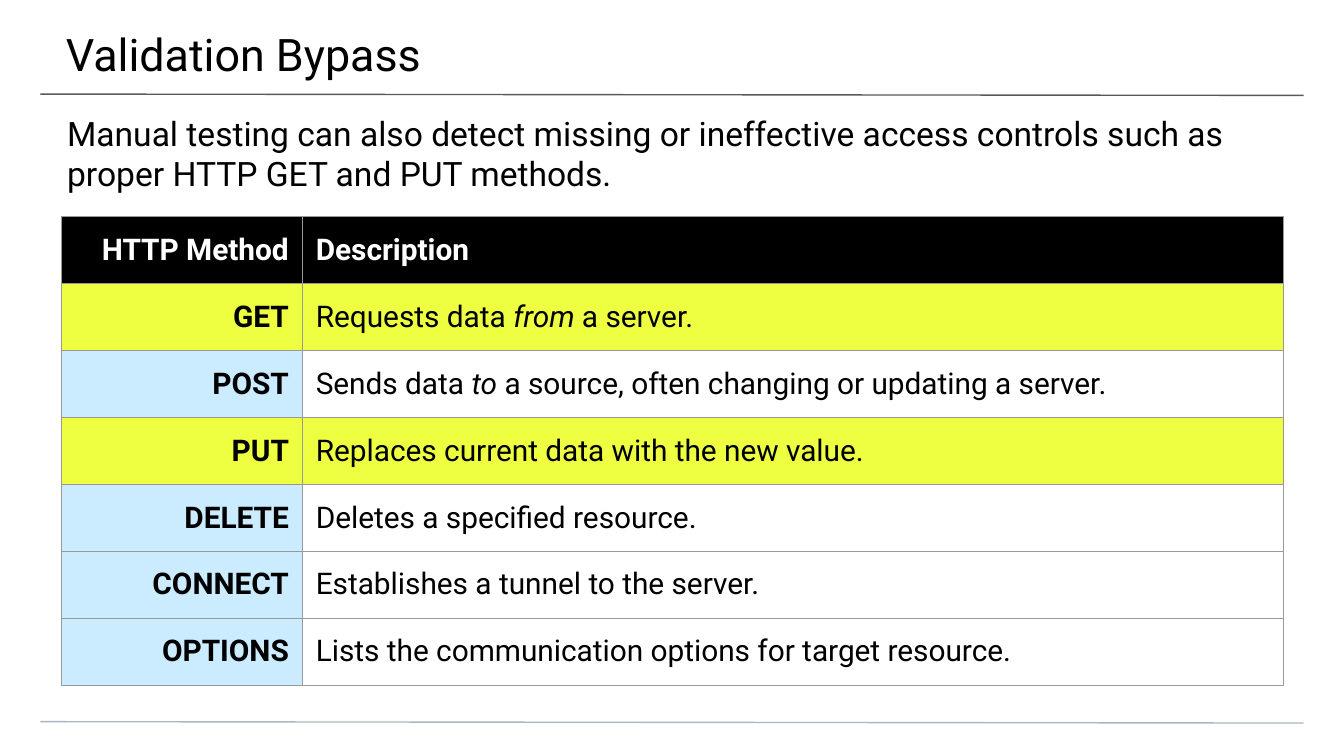
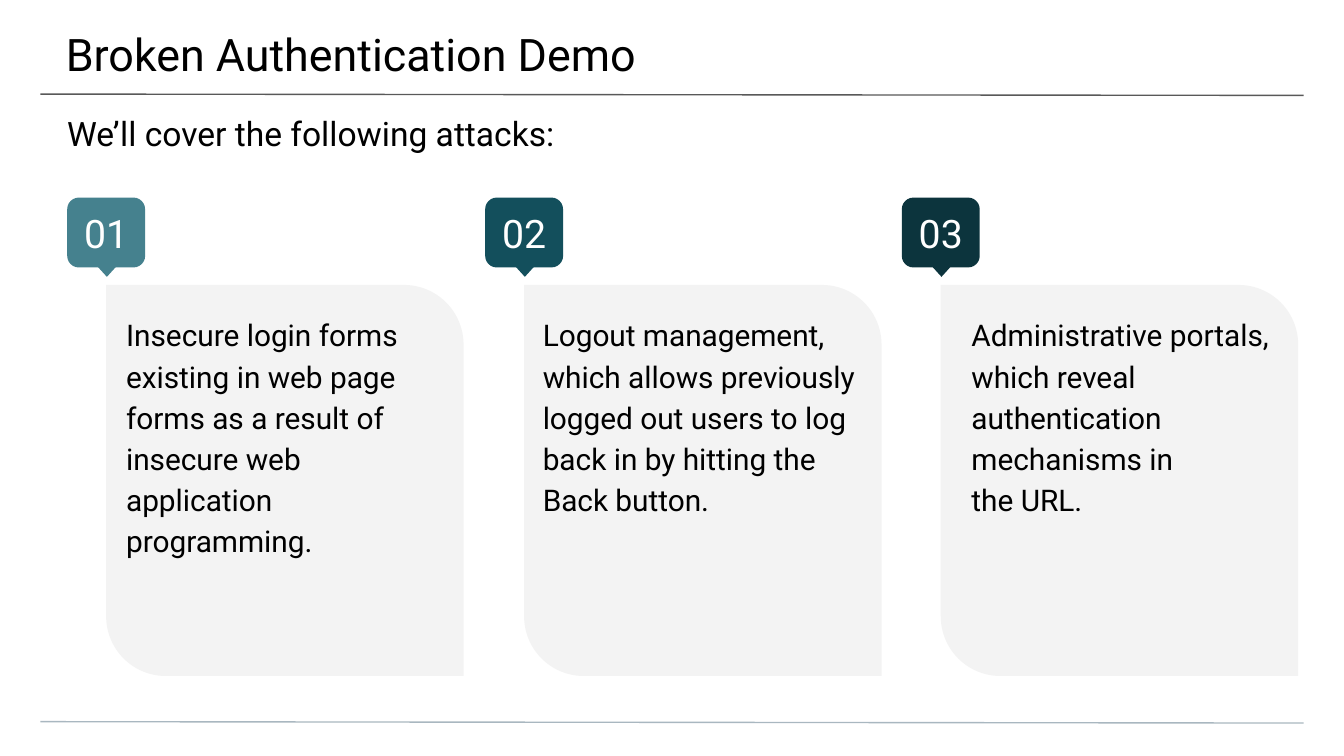
from pptx import Presentation
from pptx.dml.color import RGBColor
from pptx.enum.shapes import MSO_CONNECTOR, MSO_SHAPE
from pptx.enum.text import MSO_ANCHOR, PP_ALIGN
from pptx.oxml.ns import qn
from pptx.util import Inches, Pt
from lxml import etree

LINE = MSO_CONNECTOR.STRAIGHT
BADGE = MSO_SHAPE.ROUNDED_RECTANGLE
POINTER = MSO_SHAPE.FLOWCHART_EXTRACT
CARD = MSO_SHAPE.ROUND_2_DIAG_RECTANGLE
MIDDLE = MSO_ANCHOR.MIDDLE
LEFT, RIGHT, CENTER = PP_ALIGN.LEFT, PP_ALIGN.RIGHT, PP_ALIGN.CENTER

FONT = "Roboto"
BLACK = RGBColor(0x00, 0x00, 0x00)
WHITE = RGBColor(0xFF, 0xFF, 0xFF)
DARK = RGBColor(0x59, 0x59, 0x59)
MIST = RGBColor(0xA9, 0xB7, 0xC0)
PALE = RGBColor(0xF3, 0xF3, 0xF3)
YELLOW = RGBColor(0xEE, 0xFF, 0x41)
SKY = RGBColor(0x9C, 0xDC, 0xFE)
TEAL = RGBColor(0x45, 0x81, 0x8E)
DEEP = RGBColor(0x13, 0x4F, 0x5C)
NIGHT = RGBColor(0x0C, 0x34, 0x3D)
GRID = "999999"

# Asterisks enclose italic words
METHODS = [
    ("GET", "Requests data *from *a server."),
    ("POST", "Sends data *to *a source, often changing or updating a server."),
    ("PUT", "Replaces current data with the new value."),
    ("DELETE", "Deletes a specified resource."),
    ("CONNECT", "Establishes a tunnel to the server."),
    ("OPTIONS", "Lists the communication options for target resource."),
]
MARKED = ("GET", "PUT")

# Pin left, colour, note box, note
ATTACKS = [
    (0.5, TEAL, (0.84, 2.22, 2.4, 2.6),
     "Insecure login forms existing in web page forms as a result of "
     "insecure web application programming."),
    (3.61, DEEP, (3.94, 2.22, 2.59, 2.45),
     "Logout management, which allows previously logged out users to log "
     "back in by hitting the Back button."),
    (6.71, NIGHT, (7.13, 2.22, 2.59, 2.49),
     "Administrative portals, which reveal authentication mechanisms in "
     "\vthe URL."),
]


def style(para, size, color, bold=False):
    for run in para.runs:
        font = run.font
        font.name, font.size, font.bold = FONT, Pt(size), bold
        font.color.rgb = color


def inset(frame, left, top, right, bottom):
    frame.margin_left, frame.margin_top = Inches(left), Inches(top)
    frame.margin_right, frame.margin_bottom = Inches(right), Inches(bottom)


def add_text(slide, box, text, size, pad=(0.1, 0.1, 0.1, 0.1)):
    frame = slide.shapes.add_textbox(*map(Inches, box)).text_frame
    frame.word_wrap = True
    inset(frame, *pad)
    frame.text = text
    para = frame.paragraphs[0]
    style(para, size, BLACK)
    return para


def add_rule(slide, top, color):
    rule = slide.shapes.add_connector(
        LINE, Inches(0.3), Inches(top), Inches(9.7), Inches(top + 0.01))
    rule.line.color.rgb = color
    rule.line.width = Pt(0.75)
    etree.SubElement(rule._element.spPr, qn("a:effectLst"))


def add_form(shapes, kind, box, color):
    form = shapes.add_shape(kind, *map(Inches, box))
    form.shadow.inherit = False
    form.fill.solid()
    form.fill.fore_color.rgb = color
    form.line.fill.background()
    return form


def add_page(deck, title, lead):
    slide = deck.slides.add_slide(deck.slide_layouts[6])
    add_rule(slide, 0.7, DARK)
    add_rule(slide, 5.37, MIST)
    add_text(slide, (-0.01, 0, 10.03, 0.58), title, 24, (0.5, 0.2, 0.3, 0.1))
    add_text(slide, (0, 0.74, 10, 0.4), lead, 18, (0.5, 0.1, 0.5, 0))
    return slide


def set_edges(cell):
    props = cell._tc.get_or_add_tcPr()
    for side in ("a:lnL", "a:lnR", "a:lnT", "a:lnB"):
        edge = etree.SubElement(props, qn(side), w=str(Pt(0.75)))
        fill = etree.SubElement(edge, qn("a:solidFill"))
        etree.SubElement(fill, qn("a:srgbClr"), val=GRID)


def fill_cell(cell, text, fill, color, bold, align):
    set_edges(cell)
    cell.fill.solid()
    cell.fill.fore_color.rgb = fill
    if fill == SKY:
        tint = cell._tc.tcPr.find(qn("a:solidFill"))[0]
        etree.SubElement(tint, qn("a:alpha"), val="53000")
    cell.vertical_anchor = MIDDLE
    inset(cell, 0.1, 0.1, 0.1, 0.1)
    para = cell.text_frame.paragraphs[0]
    para.alignment = align
    for i, part in enumerate(text.split("*")):
        run = para.add_run()
        run.text = part
        run.font.italic = i % 2 == 1
    style(para, 16, color, bold)


def add_methods(slide):
    table = slide.shapes.add_table(
        len(METHODS) + 1, 2, Inches(0.46), Inches(1.61),
        Inches(9.09), Inches(3.49)).table
    table.columns[0].width = Inches(1.79)
    table.columns[1].width = Inches(7.3)
    fill_cell(table.cell(0, 0), "HTTP Method", BLACK, WHITE, True, RIGHT)
    fill_cell(table.cell(0, 1), "Description", BLACK, WHITE, True, LEFT)
    for row, (name, about) in enumerate(METHODS, 1):
        tints = (YELLOW, YELLOW) if name in MARKED else (SKY, WHITE)
        fill_cell(table.cell(row, 0), name, tints[0], BLACK, True, RIGHT)
        fill_cell(table.cell(row, 1), about, tints[1], BLACK, False, LEFT)


def add_pin(slide, left, number, color):
    group = slide.shapes.add_group_shape()
    badge = add_form(group.shapes, BADGE, (left, 1.47, 0.58, 0.52), color)
    frame = badge.text_frame
    inset(frame, 0.1, 0.1, 0.1, 0.1)
    frame.vertical_anchor = MIDDLE
    frame.text = f"{number:02}"
    frame.paragraphs[0].alignment = CENTER
    style(frame.paragraphs[0], 21, WHITE)
    tip = add_form(group.shapes, POINTER, (left + 0.15, 1.9, 0.29, 0.16), color)
    tip.rotation = 180


def add_attack(slide, number, left, color, box, note):
    add_pin(slide, left, number, color)
    card = add_form(slide.shapes, CARD, (left + 0.29, 2.12, 2.66, 2.91), PALE)
    card.adjustments[0], card.adjustments[1] = 0, 0.167
    para = add_text(slide, box, note, 16)
    para.line_spacing = 1.15
    para.space_after = Pt(8)


def main():
    deck = Presentation()
    deck.slide_width = Inches(10)
    deck.slide_height = deck.slide_width * 9 // 16

    # Table of HTTP methods
    slide = add_page(
        deck, "Validation Bypass",
        "Manual testing can also detect missing or ineffective access "
        "controls such as proper HTTP GET and PUT methods.")
    add_methods(slide)

    # Three numbered attacks
    slide = add_page(deck, "Broken Authentication Demo",
                     "We’ll cover the following attacks:")
    for number, attack in enumerate(ATTACKS, 1):
        add_attack(slide, number, *attack)

    deck.save("out.pptx")


if __name__ == "__main__":
    main()
